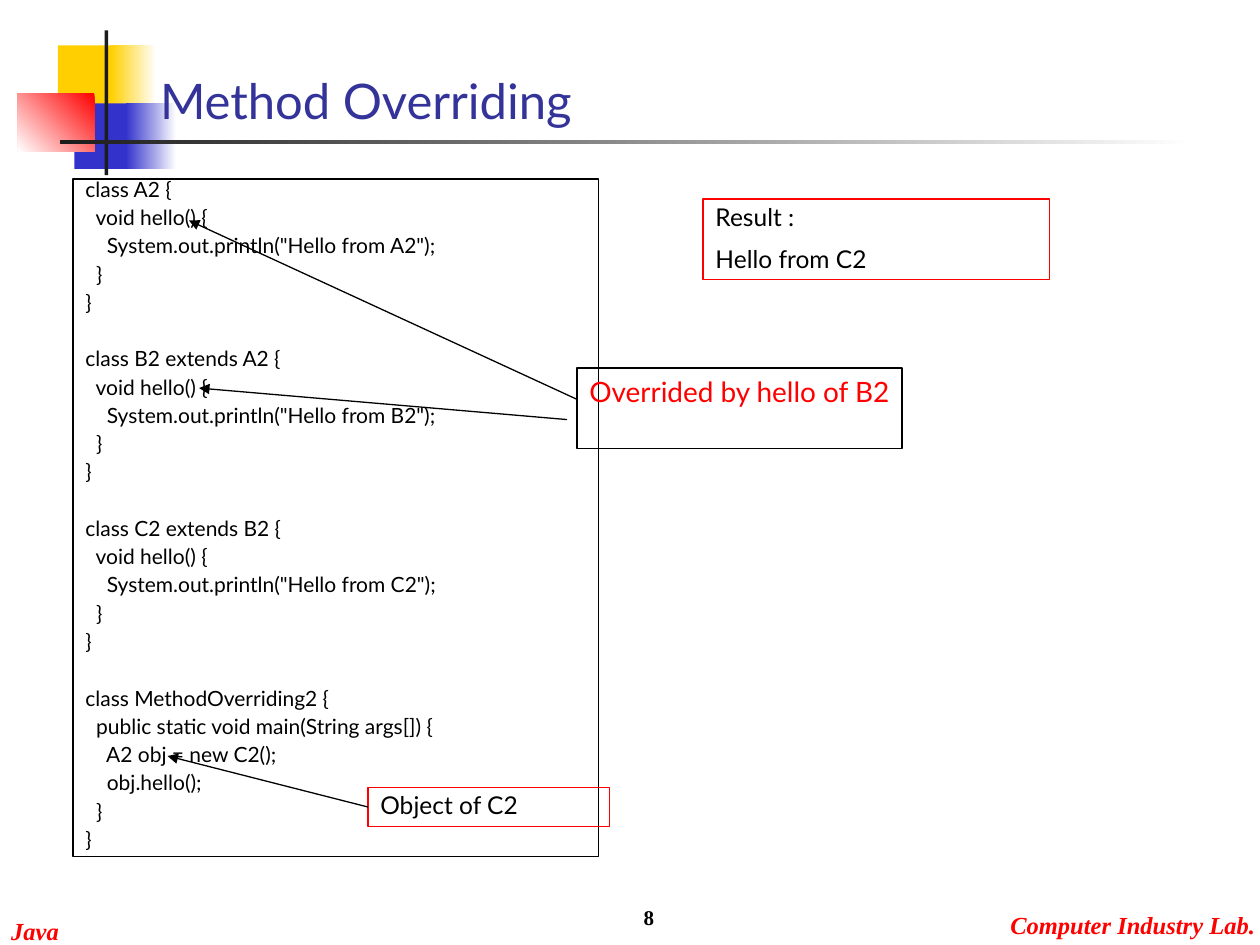
from dataclasses import dataclass

from pptx import Presentation
from pptx.dml.color import RGBColor as RGB
from pptx.enum.shapes import MSO_CONNECTOR as Line, MSO_SHAPE as Kind
from pptx.enum.text import MSO_ANCHOR as Anchor, MSO_AUTO_SIZE as Fit, PP_ALIGN as Align
from pptx.oxml.ns import qn
from pptx.util import Inches, Pt
from lxml.etree import SubElement


@dataclass(frozen=True)
class Theme:
    sans: str = "Lato"
    serif: str = "Times New Roman"
    black: str = "000000"
    white: str = "FFFFFF"
    red: str = "FF0000"
    gold: str = "FFCF01"
    blue: str = "3333CC"
    navy: str = "333399"
    dark: str = "1C1C1C"
    head: float = 28
    note: float = 16
    body: float = 14
    code: float = 12
    rule: float = 0.75


CODE = '''class A2 {
  void hello() {
    System.out.println("Hello from A2");
  }
}

class B2 extends A2 {
  void hello() {
    System.out.println("Hello from B2");
  }
}

class C2 extends B2 {
  void hello() {
    System.out.println("Hello from C2");
  }
}

class MethodOverriding2 {
  public static void main(String args[]) {
    A2 obj = new C2();
    obj.hello();
  }
}'''


def write(frame, text, size, font, color, bold=False, italic=False, align=Align.LEFT,
          anchor=Anchor.TOP, wrap=True, lead=None, gap=0, skip=0):
    """Fill a frame line by line; a blank line becomes a space of skip points."""
    frame.auto_size = Fit.NONE
    frame.word_wrap = wrap
    frame.vertical_anchor = anchor
    frame.margin_left = frame.margin_right = Inches(0.1)
    frame.margin_top = frame.margin_bottom = Inches(0.05)
    first, blank = True, False
    for line in text.split("\n"):
        if not line:
            blank = True
            continue
        para = frame.paragraphs[0] if first else frame.add_paragraph()
        para.alignment = align
        para.line_spacing = lead
        para.space_before = Pt(0 if first else skip if blank else gap)
        run = para.add_run()
        run.text = line
        run.font.name, run.font.size = font, Pt(size)
        run.font.bold, run.font.italic = bold, italic
        run.font.color.rgb = RGB.from_string(color)
        first, blank = False, False


class Deck:
    def __init__(self, theme):
        self.theme = theme
        self.show = Presentation()
        self.show.slide_width, self.show.slide_height = Inches(10), Inches(7.5)
        self.slide = self.show.slides.add_slide(self.show.slide_layouts[5])
        self.shapes = self.slide.shapes

    def rect(self, *at):
        shape = self.shapes.add_shape(Kind.RECTANGLE, *map(Inches, at))
        shape.shadow.inherit = False
        return shape

    def block(self, at, color, end=None, angle=180):
        """Add a plain block, or one that fades from color to end."""
        shape = self.rect(*at)
        shape.line.fill.background()
        if end is None:
            shape.fill.solid()
            shape.fill.fore_color.rgb = RGB.from_string(color)
            return
        shape.fill.gradient()
        shape.fill.gradient_angle = angle
        for stop, tone in zip(shape.fill.gradient_stops, (color, end)):
            stop.color.rgb = RGB.from_string(tone)

    def title(self, at, text):
        shape = self.shapes.title
        self.shapes.element.append(shape.element)  # in front of the blocks
        shape.left, shape.top, shape.width, shape.height = map(Inches, at)
        write(shape.text_frame, text, self.theme.head, self.theme.sans,
              self.theme.navy, anchor=Anchor.BOTTOM)

    def box(self, at, text, size, edge, color, **style):
        shape = self.rect(*at)
        shape.fill.background()
        shape.line.color.rgb = RGB.from_string(edge)
        shape.line.width = Pt(self.theme.rule)
        write(shape.text_frame, text, size, self.theme.sans, color, **style)
        return shape

    def label(self, at, text, size, color, **style):
        shape = self.shapes.add_textbox(*map(Inches, at))
        write(shape.text_frame, text, size, self.theme.serif, color, bold=True, **style)

    def arrow(self, start, end, source=None):
        """Draw an arrow, joined to the left side of source if given."""
        line = self.shapes.add_connector(Line.STRAIGHT, *map(Inches, start + end))
        if source is not None:
            line.begin_connect(source, 1)
        line.line.color.rgb = RGB.from_string(self.theme.black)
        line.line.width = Pt(self.theme.rule)
        SubElement(line.line._get_or_add_ln(), qn("a:tailEnd"), type="triangle")
        SubElement(line.element.spPr, qn("a:effectLst"))


def main():
    t = Theme()
    deck = Deck(t)

    deck.block((0.46, 0.36, 0.48, 0.52), t.gold)
    deck.block((0.88, 0.36, 0.36, 0.52), t.white, t.gold)
    deck.block((0.59, 0.82, 0.46, 0.52), t.blue)
    deck.block((1, 0.82, 0.4, 0.52), t.white, t.blue)
    deck.block((0.14, 0.74, 0.61, 0.46), t.red, t.white, angle=225)
    deck.block((0.83, 0.24, 0.03, 1.15), t.dark)
    deck.block((0.48, 1.11, 9, 0.03), t.white, t.dark)

    foot = dict(size=t.body, color=t.red, italic=True, wrap=False)
    deck.label((-0.01, 7.22, 0.58, 0.34), "Java", **foot)
    deck.label((7.92, 7.17, 2.14, 0.34), "Computer Industry Lab.", **foot)
    deck.title((1.17, 0.5, 4.5, 0.58), "Method Overriding")

    deck.box((0.58, 1.42, 4.17, 5.38), CODE, t.code, t.black, t.black,
             lead=0.6, gap=7.5, skip=23.64)
    deck.box((4.58, 2.92, 2.58, 0.64), "Overrided by hello of B2", t.note, t.black, t.red)
    deck.arrow((4.58, 3.17), (1.5, 1.75))
    note = dict(size=t.body, edge=t.red, color=t.black, lead=0.9, gap=8.8)
    deck.box((5.58, 1.58, 2.75, 0.64), "Result :\nHello from C2", **note)
    deck.arrow((4.5, 3.33), (1.58, 3.08))
    made = deck.box((2.92, 6.25, 1.92, 0.31), "Object of C2", **note)
    deck.arrow((2.92, 6.41), (1.33, 6), made)

    deck.label((3.21, 6.93, 2.08, 0.5), "8", t.code, t.black,
               align=Align.RIGHT, anchor=Anchor.BOTTOM)
    deck.show.save("out.pptx")


if __name__ == "__main__":
    main()
